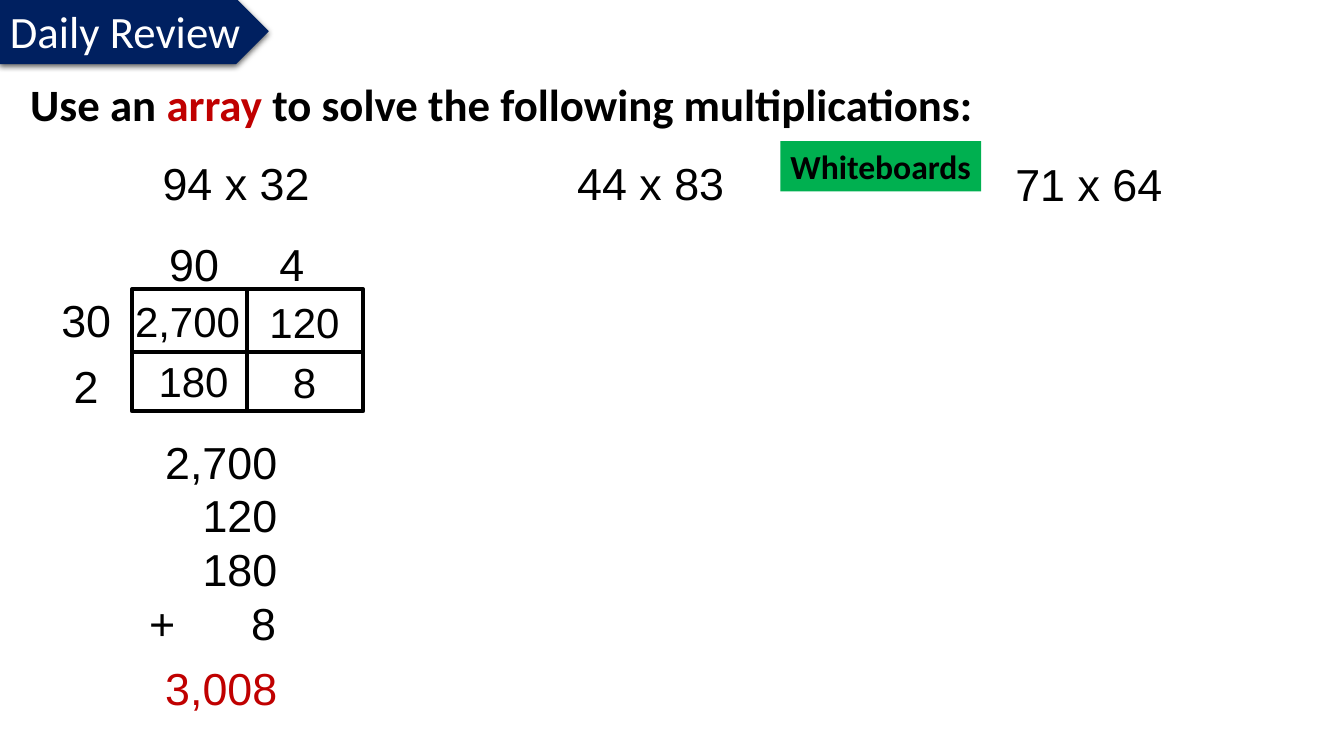
from lxml import etree
from pptx import Presentation
from pptx.dml.color import RGBColor
from pptx.enum.shapes import MSO_CONNECTOR, MSO_SHAPE
from pptx.enum.text import MSO_ANCHOR, MSO_AUTO_SIZE, PP_ALIGN
from pptx.oxml import parse_xml
from pptx.oxml.ns import nsdecls, qn
from pptx.util import Inches, Pt

BLACK, WHITE, RED, NAVY, GREEN = "000000", "FFFFFF", "C00000", "002060", "00B050"


def colour(value):
    return RGBColor.from_string(value)


class ReviewSlide:
    """Holds the style and the current slide, with a method for each element."""

    def __init__(self, presentation):
        self.slide = presentation.slides.add_slide(presentation.slide_layouts[5])
        self.digits_font, self.words_font = "Arial", "Calibri"
        self.border = Pt(3)

    def style(self, font, name, size, fill, bold=False):
        font.name, font.size, font.bold = name, Pt(size), bold
        font.color.rgb = colour(fill)

    def heading(self, left, top, width, height, parts):
        title = self.slide.shapes.title
        title.left, title.top = Inches(left), Inches(top)
        title.width, title.height = Inches(width), Inches(height)
        frame = title.text_frame
        frame.auto_size = MSO_AUTO_SIZE.NONE
        frame.vertical_anchor = MSO_ANCHOR.TOP
        sentence = frame.paragraphs[0]
        sentence.alignment, sentence.line_spacing = PP_ALIGN.LEFT, 0.9
        for words, fill in parts:
            run = sentence.add_run()
            run.text = words
            self.style(run.font, self.words_font, 32, fill, bold=True)

    def digits(self, left, top, width, height, lines, size=32, fill=BLACK,
               align=PP_ALIGN.CENTER):
        box = self.slide.shapes.add_textbox(
            Inches(left), Inches(top), Inches(width), Inches(height))
        frame = box.text_frame
        frame.word_wrap = True
        frame.text = "\n".join(lines)
        for paragraph in frame.paragraphs:
            paragraph.alignment = align
            if "\t" in paragraph.text:
                paragraph.alignment = PP_ALIGN.LEFT
                self.right_tab(paragraph, width - 0.21)
            self.style(paragraph.font, self.digits_font, size, fill)

    def right_tab(self, paragraph, position):
        tabs = etree.SubElement(paragraph._p.get_or_add_pPr(), qn("a:tabLst"))
        etree.SubElement(tabs, qn("a:tab"), pos=str(Inches(position)), algn="r")

    def shape(self, kind, left, top, width, height, fill=None, line=None, weight=None):
        shape = self.slide.shapes.add_shape(
            kind, Inches(left), Inches(top), Inches(width), Inches(height))
        shape.shadow.inherit = False
        if fill:
            shape.fill.solid()
            shape.fill.fore_color.rgb = colour(fill)
        else:
            shape.fill.background()
        if line:
            shape.line.color.rgb = colour(line)
            shape.line.width = weight
        else:
            shape.line.fill.background()
        return shape

    def label(self, shape, words, size, fill, bold=False, wrap=True):
        frame = shape.text_frame
        frame.word_wrap = wrap
        frame.vertical_anchor = MSO_ANCHOR.TOP
        frame.text = words
        frame.paragraphs[0].alignment = PP_ALIGN.LEFT
        self.style(frame.paragraphs[0].font, self.words_font, size, fill, bold)

    def drop_shadow(self, shape):
        effects = shape._element.spPr.find(qn("a:effectLst"))
        effects.append(parse_xml(
            f'<a:outerShdw {nsdecls("a")} blurRad="{Pt(4.5)}" dist="{Pt(1.5)}" '
            f'dir="5400000" rotWithShape="0"><a:srgbClr val="{BLACK}">'
            '<a:alpha val="63000"/></a:srgbClr></a:outerShdw>'))

    def divider(self, x, top, bottom):
        line = self.slide.shapes.add_connector(
            MSO_CONNECTOR.STRAIGHT, Inches(x), Inches(top), Inches(x), Inches(bottom))
        line.line.color.rgb = colour(BLACK)
        line.line.width = self.border
        etree.SubElement(line._element.spPr, qn("a:effectLst"))


def main():
    presentation = Presentation()
    presentation.slide_width, presentation.slide_height = Inches(13.33), Inches(7.5)
    review = ReviewSlide(presentation)

    review.heading(0.2, 0.77, 10.4, 1, [
        ("Use an ", BLACK), ("array", RED),
        (" to solve the following multiplications:", BLACK)])
    banner = review.shape(MSO_SHAPE.PENTAGON, 0, -0.01, 2.66, 0.64,
                          NAVY, NAVY, Pt(0.75))
    review.drop_shadow(banner)
    review.label(banner, "Daily Review", 32, WHITE, wrap=False)

    review.digits(0.78, 1.5, 2.39, 0.64, ["94 x 32"], align=PP_ALIGN.RIGHT)
    review.digits(4.98, 1.5, 2.95, 0.64, ["44 x 83"])
    review.digits(9.33, 1.51, 2.94, 0.64, ["71 x 64"])

    array_left, array_width = 1.31, 2.29
    row_tops = [2.87, 3.49, 4.08]
    for top, bottom in zip(row_tops, row_tops[1:]):
        review.shape(MSO_SHAPE.RECTANGLE, array_left, top, array_width, bottom - top,
                     line=BLACK, weight=review.border)
    review.divider(2.45, row_tops[0], row_tops[-1])

    for left, top, factor in [(1.56, 2.3, "90"), (2.53, 2.3, "4"),
                              (0.49, 2.85, "30"), (0.49, 3.51, "2")]:
        review.digits(left, top, 0.73, 0.64, [factor])
    for left, top, width, product in [(1.17, 2.88, 1.38, "2,700"),
                                      (2.53, 2.89, 0.98, "120"),
                                      (1.29, 3.48, 1.26, "180"),
                                      (2.53, 3.49, 0.98, "8")]:
        review.digits(left, top, width, 0.61, [product], size=30)

    review.digits(1.38, 4.26, 1.47, 2.26, ["2,700", "120", "180", "+\t8"],
                  align=PP_ALIGN.RIGHT)
    review.digits(1.46, 6.51, 1.39, 0.64, ["3,008"], fill=RED, align=PP_ALIGN.RIGHT)

    whiteboards = review.shape(MSO_SHAPE.RECTANGLE, 7.74, 1.4, 1.99, 0.5, GREEN)
    review.label(whiteboards, "Whiteboards", 24, BLACK, bold=True)

    presentation.save("out.pptx")


if __name__ == "__main__":
    main()
